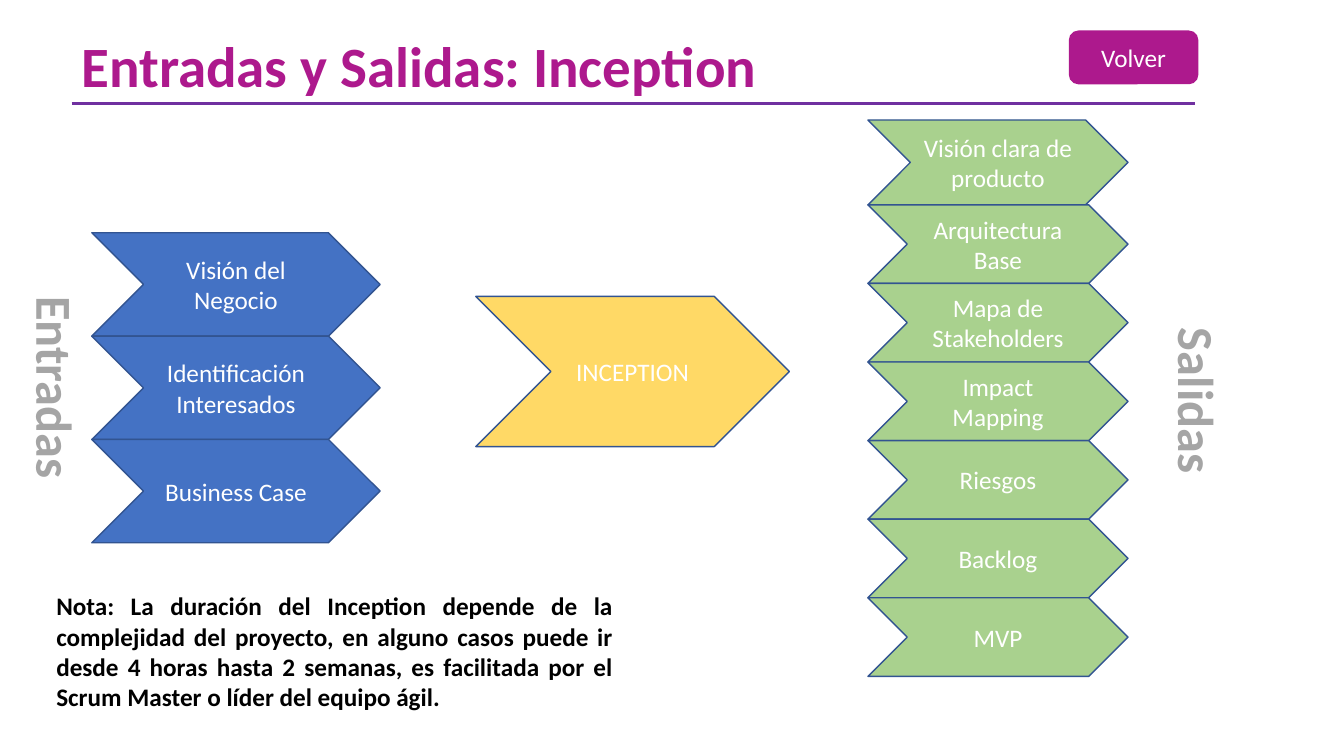
import pptx
import pptx.util
import pptx.dml.color
import pptx.enum.shapes
import pptx.enum.text
import pptx.oxml

RGB = pptx.dml.color.RGBColor
SHAPE = pptx.enum.shapes.MSO_SHAPE
ALIGN = pptx.enum.text.PP_ALIGN
ANCHOR = pptx.enum.text.MSO_ANCHOR
FIT = pptx.enum.text.MSO_AUTO_SIZE
Pt = pptx.util.Pt

MAGENTA = RGB(0xAD, 0x19, 0x8D)
PURPLE = RGB(0x70, 0x30, 0xA0)
BLUE = RGB(0x44, 0x72, 0xC4)
NAVY = RGB(0x32, 0x54, 0x91)
YELLOW = RGB(0xFF, 0xD9, 0x66)
GREEN = RGB(0xA9, 0xD1, 0x8E)
GREY = RGB(0xA5, 0xA5, 0xA5)
WHITE = RGB(0xFF, 0xFF, 0xFF)
BLACK = RGB(0, 0, 0)

FONT = "Calibri"
WIDTH, HEIGHT = pptx.util.Inches(13.33), pptx.util.Inches(7.5)


def emu(left, top, width, height):
    """Turn a box in percent of the slide's width and height into lengths."""
    return (int(WIDTH * left / 100), int(HEIGHT * top / 100),
            int(WIDTH * width / 100), int(HEIGHT * height / 100))


def write(sp, text, size, color, align, bold=False):
    tf = sp.text_frame
    tf.word_wrap = True
    p = tf.paragraphs[0]
    p.alignment = align
    r = p.add_run()
    r.text = text
    r.font.name, r.font.size, r.font.bold = FONT, Pt(size), bold
    r.font.color.rgb = color
    return p


def add_label_shape(s, kind, box, text, fill, outline):
    sp = s.shapes.add_shape(kind, *emu(*box))
    sp.shadow.inherit = False
    sp.fill.solid()
    sp.fill.fore_color.rgb = fill
    sp.line.color.rgb = outline
    sp.line.width = Pt(1)
    sp.text_frame.vertical_anchor = ANCHOR.MIDDLE
    write(sp, text, 18, WHITE, ALIGN.CENTER)


def add_chevron_stack(s, box, labels, fill, first=1):
    """Fill the box with chevrons; first is the top one's height against the rest."""
    left, top, width, height = box
    row = height / (len(labels) - 1 + first)
    for i, label in enumerate(labels):
        h = row * first if i == 0 else row
        add_label_shape(s, SHAPE.CHEVRON, (left, top, width, h), label, fill, NAVY)
        top += h


def add_text(s, box, text, size, color, align, rotation=0):
    sp = s.shapes.add_textbox(*emu(*box))
    sp.rotation = rotation
    write(sp, text, size, color, align, bold=True)
    sp.text_frame.auto_size = FIT.SHAPE_TO_FIT_TEXT


def add_header(s, box, text, button):
    left, top, width, height = box
    title = s.shapes.title
    title.left, title.top, title.width, title.height = emu(
        left, top, width * 0.93, height)
    title.text_frame.auto_size = FIT.NONE
    title.text_frame.vertical_anchor = ANCHOR.MIDDLE
    write(title, text, 40.7, MAGENTA, ALIGN.LEFT, bold=True).line_spacing = 0.7

    x, y, w, h = emu(*box)
    rule = s.shapes.add_connector(
        pptx.enum.shapes.MSO_CONNECTOR.STRAIGHT, x, y + h, x + w, y + h)
    rule.line.color.rgb = PURPLE
    rule.line.width = Pt(2.25)
    rule._element.spPr.append(pptx.oxml.parse_xml(
        '<a:effectLst xmlns:a="http://schemas.openxmlformats.org/drawingml/2006/main"/>'))

    add_label_shape(s, SHAPE.ROUNDED_RECTANGLE,
                    (left + width - 9.3, top - 1.47, 9.53, 6.93),
                    button, MAGENTA, MAGENTA)


def main():
    prs = pptx.Presentation()
    prs.slide_width, prs.slide_height = WIDTH, HEIGHT
    s = prs.slides.add_slide(prs.slide_layouts[5])

    add_header(s, (5.33, 5.6, 83.55, 8.13), "Entradas y Salidas: Inception", "Volver")
    add_chevron_stack(s, (6.83, 30.8, 21.45, 41), [
        "Visión del Negocio", "Identificación Interesados", "Business Case"], BLUE)
    add_chevron_stack(s, (35.4, 39.2, 23.33, 19.87), ["INCEPTION"], YELLOW)
    add_chevron_stack(s, (64.58, 15.87, 19.35, 73.6), [
        "Visión clara de producto", "Arquitectura Base", "Mapa de Stakeholders",
        "Impact Mapping", "Riesgos", "Backlog", "MVP"], GREEN, first=1.08)

    add_text(s, (-4.58, 46.53, 17.48, 9.47), "Entradas", 36, GREY, ALIGN.CENTER, 90)
    add_text(s, (81.32, 48.27, 15.6, 9.47), "Salidas", 36, GREY, ALIGN.CENTER, 90)
    add_text(s, (3.45, 77.47, 42.9, 17.47),
             "Nota: La duración del Inception depende de la complejidad del proyecto, "
             "en alguno casos puede ir desde 4 horas hasta 2 semanas, es facilitada "
             "por el Scrum Master o líder del equipo ágil.",
             18, BLACK, ALIGN.JUSTIFY)
    prs.save("out.pptx")


if __name__ == "__main__":
    main()
